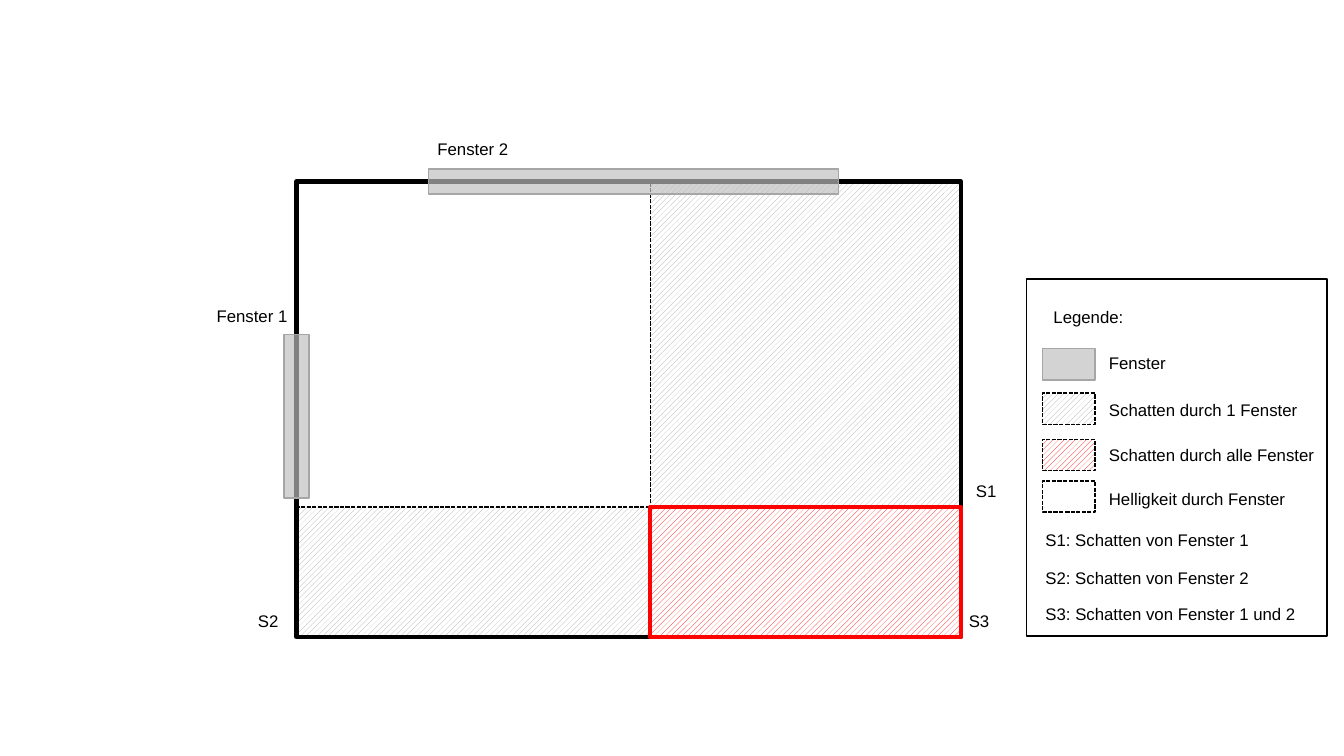
from pptx import Presentation
from pptx import util as u
from pptx.dml.color import RGBColor
from pptx.enum import dml, shapes, text
from pptx.oxml.xmlchemy import OxmlElement

theme = {
    "font": "Arial", "size": 12, "thin": 1, "thick": 3,
    "ink": RGBColor(0, 0, 0), "paper": RGBColor(255, 255, 255),
    "glass": RGBColor(0xBF, 0xBF, 0xBF), "grey": RGBColor(0xA6, 0xA6, 0xA6),
    "red": RGBColor(255, 0, 0),
}

deck = Presentation()
deck.slide_width, deck.slide_height = u.Inches(13.33), u.Inches(7.5)
slide = deck.slides.add_slide(deck.slide_layouts[6])


def box(left, top, wide, high, line, fill=None, width="thin", dash=False):
    """Rectangle that is empty, see-through glass or hatched."""
    rect = slide.shapes.add_shape(
        shapes.MSO_SHAPE.RECTANGLE, *map(u.Inches, (left, top, wide, high)))
    rect.shadow.inherit = False
    rect.line.color.rgb = theme[line]
    rect.line.width = u.Pt(theme[width])
    if dash:
        rect.line.dash_style = dml.MSO_LINE.SQUARE_DOT
    if fill is None:
        rect.fill.background()
    elif fill == "glass":
        rect.fill.solid()
        rect.fill.fore_color.rgb = theme[fill]
        alpha = OxmlElement("a:alpha")
        alpha.set("val", "68000")
        rect.fill._xPr.find(".//{*}solidFill/{*}srgbClr").append(alpha)
    else:
        rect.fill.patterned()
        rect.fill.pattern = dml.MSO_PATTERN.WIDE_UPWARD_DIAGONAL
        rect.fill.fore_color.rgb = theme[fill]
        rect.fill.back_color.rgb = theme["paper"]


def label(words, left, top, wide, wrap=False):
    frame = slide.shapes.add_textbox(
        *map(u.Inches, (left, top, wide, 0.3))).text_frame
    frame.word_wrap = wrap
    frame.auto_size = text.MSO_AUTO_SIZE.SHAPE_TO_FIT_TEXT
    para = frame.paragraphs[0]
    para.text = words
    para.font.name = theme["font"]
    para.font.size = u.Pt(theme["size"])
    para.font.color.rgb = theme["ink"]


# Grid lines of the room: outer walls and shadow edges
west, mid, east = 2.94, 6.45, 9.53
north, edge, south = 1.8, 5.03, 6.32
wall = 0.25

# Room with shadows and windows
box(mid, north, east - mid, south - north, "ink", "grey", dash=True)
box(west, edge, east - west, south - edge, "ink", "grey", dash=True)
box(west, north, east - west, south - north, "ink", width="thick")
box(west - wall / 2, 3.32, wall, 1.62, "grey", "glass")
box(mid, edge, east - mid, south - edge, "red", "red", "thick")
box(4.25, north - wall / 2, 4.07, wall, "grey", "glass")

# Labels around the room
label("Fenster 2", 4.24, 1.33, 1.23, True)
label("Fenster 1", 2.05, 2.98, 1.23, True)
for name, left, top in [("S1", 9.58, 4.72), ("S3", 9.51, 6.01), ("S2", 2.46, 6.01)]:
    label(name, left, top, 0.41)

# Legend frame and heading
box(10.18, 2.77, 2.98, 3.54, "ink")
label("Legende:", 10.35, 2.99, 0.9)

# Legend swatches: words, text width, swatch top, text top, line, fill, dashed
keys = [
    ("Fenster", 0.77, 3.46, 3.45, "grey", "glass", False),
    ("Schatten durch 1 Fenster", 2.09, 3.9, 3.92, "ink", "grey", True),
    ("Schatten durch alle Fenster", 2.25, 4.36, 4.36, "ink", "red", True),
    ("Helligkeit durch Fenster", 1.96, 4.77, 4.8, "ink", None, True),
]
for words, wide, top, base, line, fill, dash in keys:
    box(10.34, top, 0.52, 0.31, line, fill, dash=dash)
    label(words, 10.9, base, wide)

# Legend of the shadow names
names = [("1", 2.24, 5.21), ("2", 2.24, 5.58), ("1 und 2", 2.71, 5.94)]
for i, (panes, wide, top) in enumerate(names, 1):
    label(f"S{i}: Schatten von Fenster {panes}", 10.27, top, wide)

deck.save("out.pptx")
